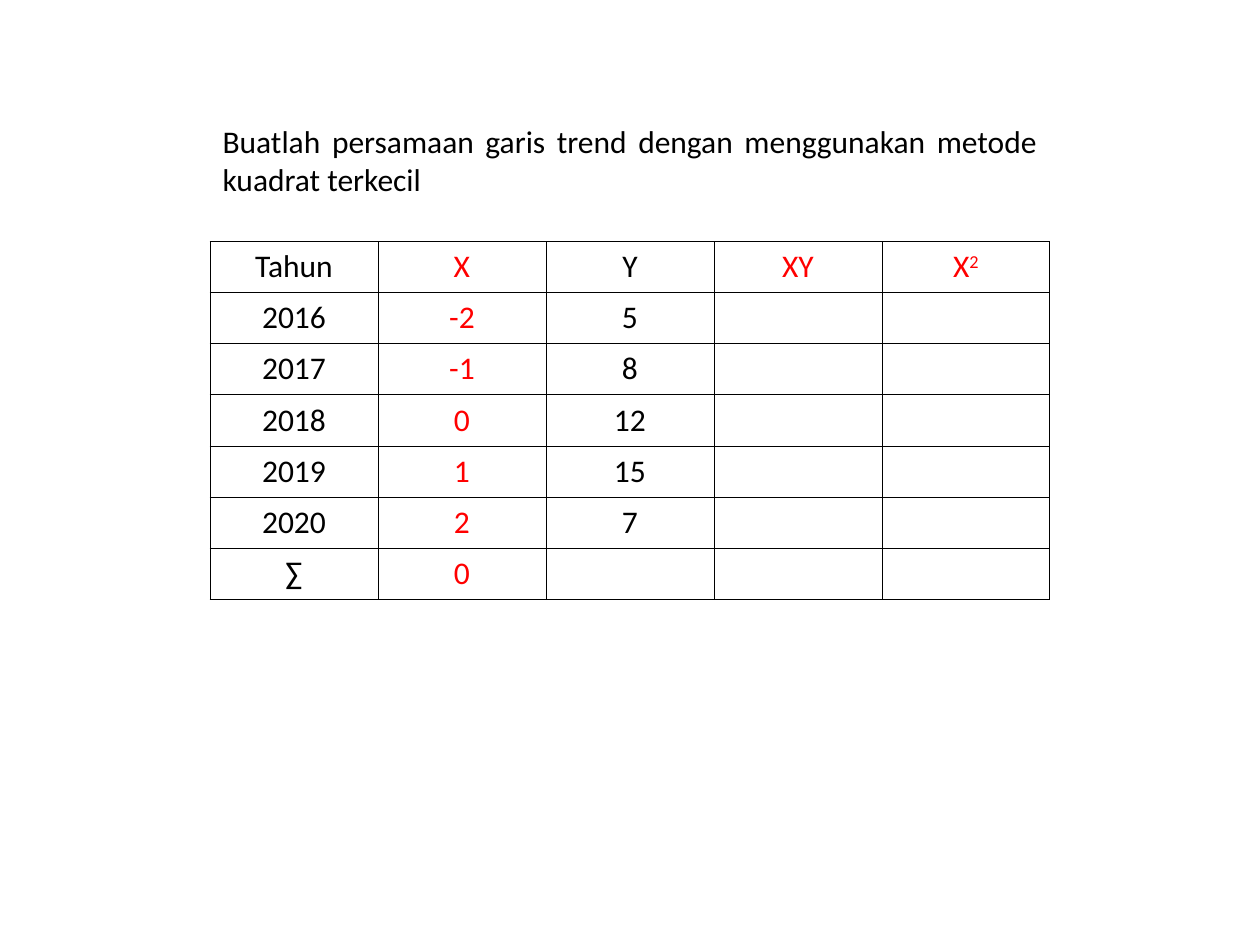
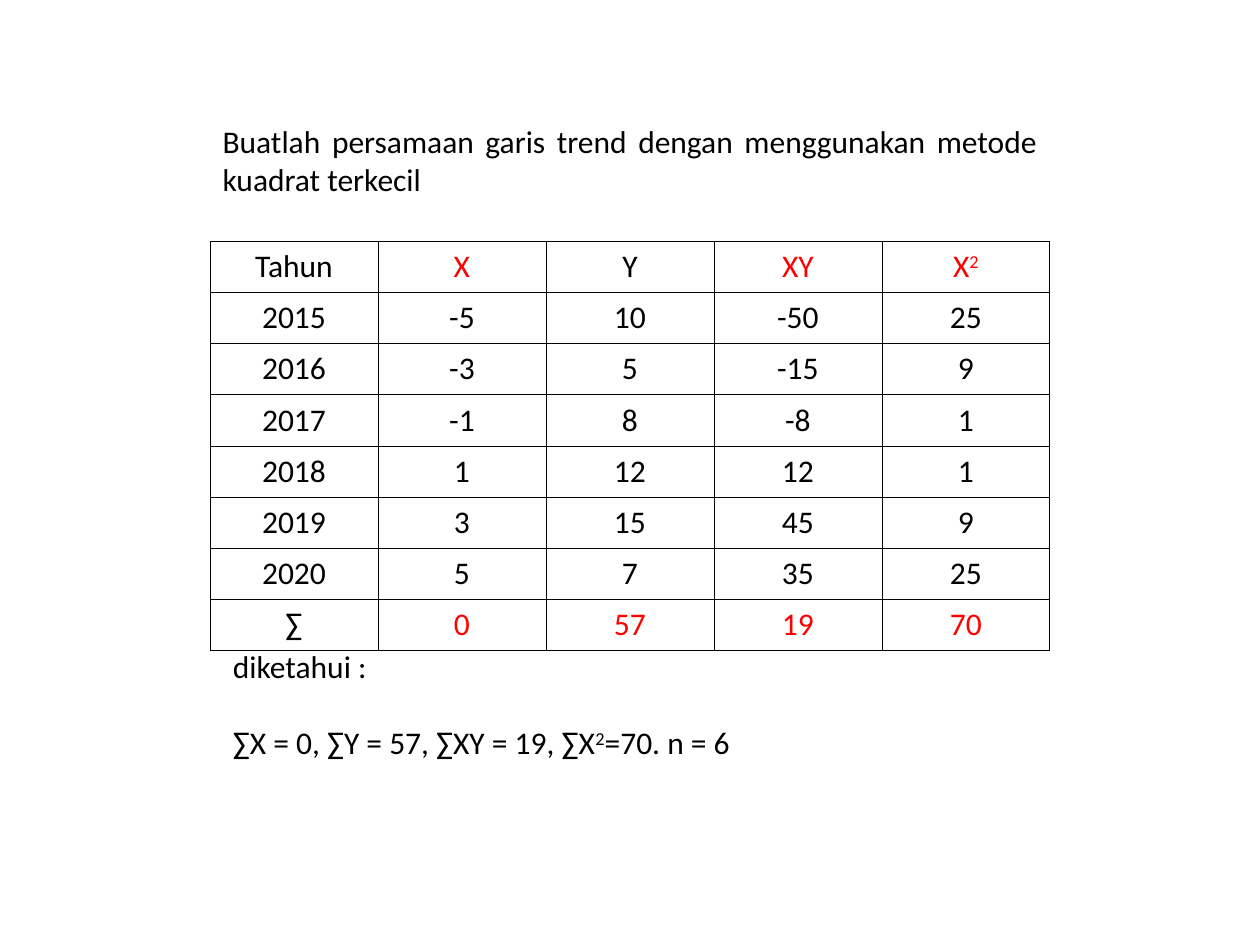
from lxml.etree import SubElement
from pptx import Presentation
from pptx.dml.color import RGBColor
from pptx.enum.text import MSO_ANCHOR as Anchor, MSO_AUTO_SIZE as AutoSize, PP_ALIGN as Align
from pptx.oxml.ns import qn
from pptx.util import Inches, Pt

SLIDE_WIDTH, SLIDE_HEIGHT = Inches(10), Inches(7.5)
GRID_COLUMNS, GRID_ROWS = 120, 90
FONT, TEXT_SIZE = "Calibri", 18
BLACK, RED = "000000", "FF0000"
TITLE_ONLY = 5

TITLE_BOX = (20, 11, 80, 8.4)
TABLE_ORIGIN, TABLE_COLUMNS, TABLE_ROW = (20, 23), 80, 4.87
NOTE_BOX = (21, 61, 80, 12)

TASK = "Buatlah persamaan garis trend dengan menggunakan metode kuadrat terkecil"
HEADER = ["Tahun", "X", "Y", "XY", "X^2"]
RED_HEADERS = {1, 3, 4}

ODD_YEARS = [
    HEADER,
    ["2016", "-2", "5", "", ""],
    ["2017", "-1", "8", "", ""],
    ["2018", "0", "12", "", ""],
    ["2019", "1", "15", "", ""],
    ["2020", "2", "7", "", ""],
    ["∑", "0", "", "", ""],
]
EVEN_YEARS = [
    HEADER,
    ["2015", "-5", "10", "-50", "25"],
    ["2016", "-3", "5", "-15", "9"],
    ["2017", "-1", "8", "-8", "1"],
    ["2018", "1", "12", "12", "1"],
    ["2019", "3", "15", "45", "9"],
    ["2020", "5", "7", "35", "25"],
    ["∑", "0", "57", "19", "70"],
]
KNOWN_SUMS = ["diketahui :", "∑X = 0, ∑Y = 57, ∑XY = 19, ∑X^2=70. n = 6"]


def color(hex_string):
    return RGBColor.from_string(hex_string)


def on_grid(left, top, width, height):
    across, down = SLIDE_WIDTH / GRID_COLUMNS, SLIDE_HEIGHT / GRID_ROWS
    return [round(length) for length in
            (left * across, top * down, width * across, height * down)]


def write(para, text, align, hex_string=BLACK):
    para.alignment = align
    para.font.name, para.font.size = FONT, Pt(TEXT_SIZE)
    para.font.color.rgb = color(hex_string)
    plain, *powers = text.split("^")
    if plain:
        para.add_run().text = plain
    for power in powers:
        span = para.add_run()
        span.text = power[0]
        span._r.get_or_add_rPr().set("baseline", "30000")
        if power[1:]:
            para.add_run().text = power[1:]


def set_frame(frame):
    frame.word_wrap = True
    frame.auto_size = AutoSize.SHAPE_TO_FIT_TEXT
    frame.vertical_anchor = Anchor.TOP


def add_title(page, box, text):
    title = page.shapes.title
    title.left, title.top, title.width, title.height = on_grid(*box)
    set_frame(title.text_frame)
    write(title.text_frame.paragraphs[0], text, Align.JUSTIFY)


def add_borders(cell):
    properties = cell._tc.get_or_add_tcPr()
    for side in ("lnL", "lnR", "lnT", "lnB"):
        line = SubElement(properties, qn(f"a:{side}"), w=str(Pt(0.45)))
        fill = SubElement(line, qn("a:solidFill"))
        SubElement(fill, qn("a:srgbClr"), val=BLACK)


def add_trend_table(page, origin, rows, is_red):
    box = on_grid(*origin, TABLE_COLUMNS, TABLE_ROW * len(rows))
    table = page.shapes.add_table(len(rows), len(HEADER), *box).table
    table.first_row = table.horz_banding = False
    for row_index, row in enumerate(rows):
        for column_index, text in enumerate(row):
            cell = table.cell(row_index, column_index)
            add_borders(cell)
            cell.fill.background()
            hex_string = RED if is_red(row_index, column_index) else BLACK
            write(cell.text_frame.paragraphs[0], text, Align.CENTER, hex_string)


def add_note(page, box, lines):
    frame = page.shapes.add_textbox(*on_grid(*box)).text_frame
    set_frame(frame)
    first, second = frame.paragraphs[0], frame.add_paragraph()
    for para, text in zip((first, second), lines):
        write(para, text, Align.JUSTIFY)
    second.space_before = Pt(22)


def add_trend_page(deck, rows, is_red_value):
    def is_red(row, column):
        return column in RED_HEADERS if row == 0 else is_red_value(row, column)

    page = deck.slides.add_slide(deck.slide_layouts[TITLE_ONLY])
    add_trend_table(page, TABLE_ORIGIN, rows, is_red)
    add_title(page, TITLE_BOX, TASK)
    return page


def main():
    deck = Presentation()
    deck.slide_width, deck.slide_height = SLIDE_WIDTH, SLIDE_HEIGHT
    add_trend_page(deck, ODD_YEARS, lambda row, column: column == 1)
    total_row = len(EVEN_YEARS) - 1
    page = add_trend_page(deck, EVEN_YEARS,
                          lambda row, column: row == total_row and column > 0)
    add_note(page, NOTE_BOX, KNOWN_SUMS)
    deck.save("out.pptx")


if __name__ == "__main__":
    main()
